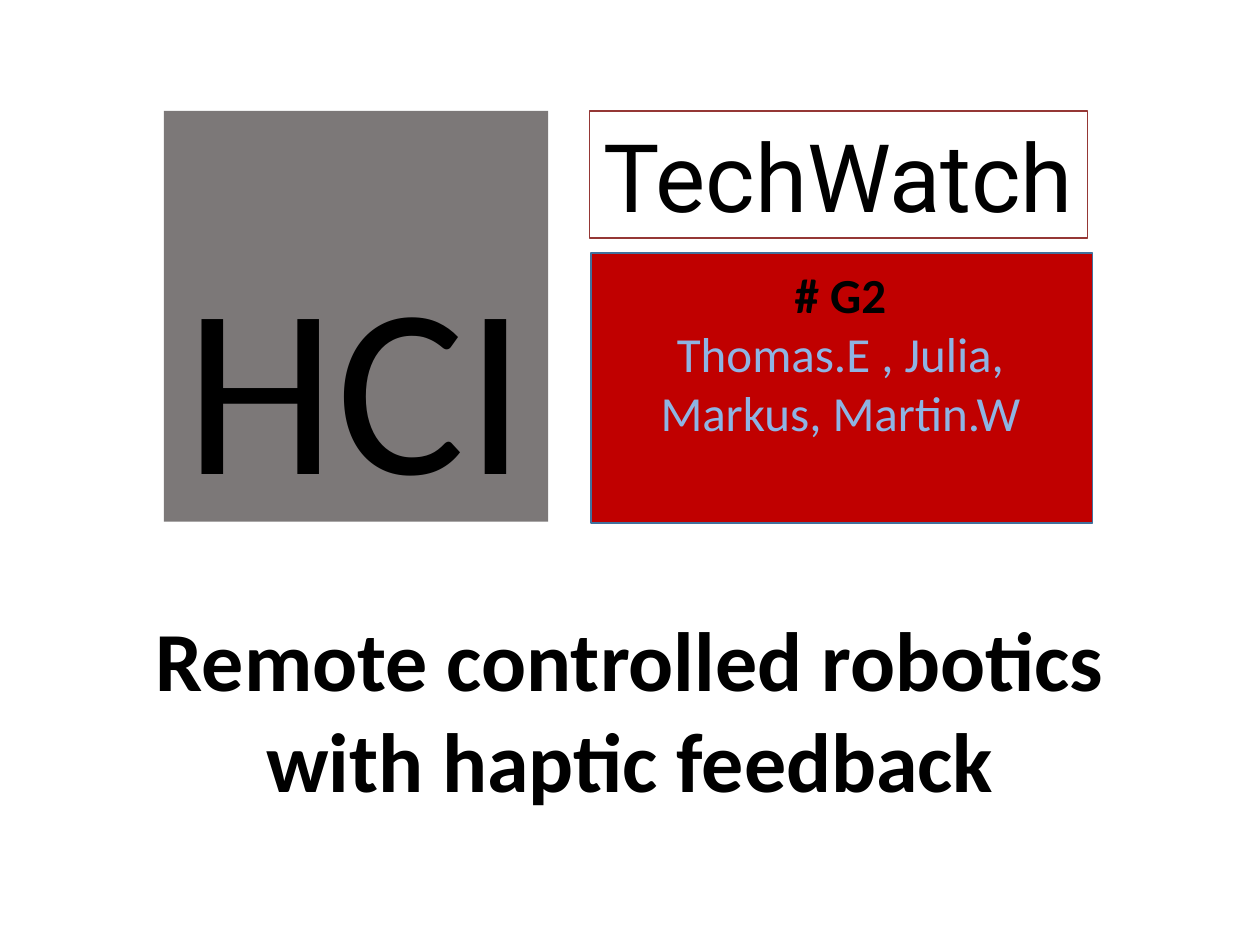
import pptx
import pptx.dml.color
import pptx.enum.shapes
import pptx.enum.text
import pptx.oxml
import pptx.oxml.ns
import pptx.util
from pptx.util import Inches

BLACK = "000000"
LIGHT_BLUE = "8EB4E3"


def color(hex_string):
    return pptx.dml.color.RGBColor.from_string(hex_string)


def write_text(paragraph, text, size, font="Calibri", font_color=BLACK, bold=False):
    """Write one centred run in a paragraph."""
    paragraph.alignment = pptx.enum.text.PP_ALIGN.CENTER
    run = paragraph.add_run()
    run.text = text
    run.font.size = pptx.util.Pt(size)
    run.font.name = font
    run.font.bold = bold
    run.font.color.rgb = color(font_color)


def prepare_frame(shape, anchor):
    frame = shape.text_frame
    frame.word_wrap = True
    frame.auto_size = pptx.enum.text.MSO_AUTO_SIZE.NONE
    frame.vertical_anchor = anchor
    return frame


def add_panel(slide, left, top, width, height, fill, line=None, line_width=1, opacity=100):
    """Add a filled rectangle, with an outline if a line colour is given."""
    panel = slide.shapes.add_shape(
        pptx.enum.shapes.MSO_SHAPE.RECTANGLE,
        Inches(left), Inches(top), Inches(width), Inches(height))
    panel.shadow.inherit = False
    panel.fill.solid()
    panel.fill.fore_color.rgb = color(fill)
    if opacity < 100:
        fill_color = panel.fill._xPr.find(".//" + pptx.oxml.ns.qn("a:srgbClr"))
        alpha = pptx.oxml.ns.qn("a:alpha")
        fill_color.append(fill_color.makeelement(alpha, {"val": str(opacity * 1000)}))
    if line:
        panel.line.color.rgb = color(line)
        panel.line.width = pptx.util.Pt(line_width)
    else:
        panel.line.fill.background()
    return panel


def add_title(slide, text):
    title = slide.shapes.title
    title.left, title.top = Inches(0.75), Inches(4.82)
    title.width, title.height = Inches(8.5), Inches(1.61)
    frame = prepare_frame(title, pptx.enum.text.MSO_ANCHOR.MIDDLE)
    write_text(frame.paragraphs[0], text, 48, bold=True)


def add_group_names(slide, group, name_lines):
    box = slide.shapes.add_textbox(Inches(4.56), Inches(2.05), Inches(4.22), Inches(1.51))
    frame = prepare_frame(box, pptx.enum.text.MSO_ANCHOR.TOP)
    write_text(frame.paragraphs[0], group, 28, bold=True)
    for names in name_lines:
        write_text(frame.add_paragraph(), names, 28, font_color=LIGHT_BLUE)


def main():
    presentation = pptx.Presentation()
    presentation.slide_width = Inches(10)
    presentation.slide_height = Inches(7.5)
    slide = presentation.slides.add_slide(presentation.slide_layouts[5])

    add_title(slide, "Remote controlled robotics with haptic feedback")

    # Red panel with the group
    add_panel(slide, 4.69, 2.01, 3.98, 2.14, "C00000", line="41719C")

    # Series name
    series = add_panel(slide, 4.68, 0.88, 3.95, 1.01, "FFFFFF", line="953735", line_width=0.75)
    frame = prepare_frame(series, pptx.enum.text.MSO_ANCHOR.MIDDLE)
    write_text(frame.paragraphs[0], "TechWatch", 54, font="Roboto")

    add_group_names(slide, "# G2", ["Thomas.E , Julia,", "Markus, Martin.W"])

    # Grey course panel, with its letters low in the square
    course = add_panel(slide, 1.3, 0.88, 3.05, 3.26, "767171", opacity=95)
    frame = prepare_frame(course, pptx.enum.text.MSO_ANCHOR.TOP)
    frame.margin_top = Inches(0.97)
    frame.margin_bottom = 0
    write_text(frame.paragraphs[0], "HCI", 138)

    presentation.save("out.pptx")


if __name__ == "__main__":
    main()
